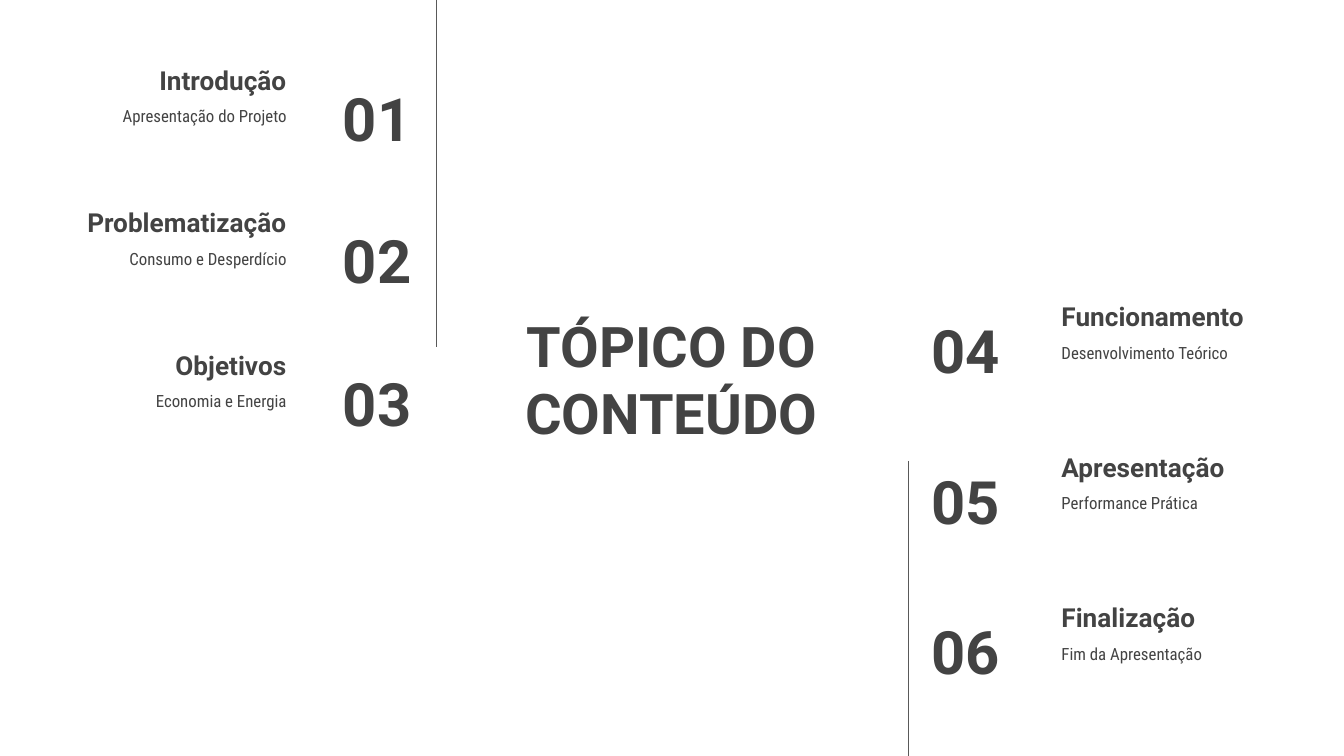
from pptx import Presentation
from pptx.dml.color import RGBColor
from pptx.enum.shapes import MSO_CONNECTOR as CONN
from pptx.enum.text import MSO_ANCHOR as ANCHOR, PP_ALIGN as ALIGN
from pptx.oxml.xmlchemy import OxmlElement
from pptx.util import Inches, Pt

DARK = RGBColor(0x43, 0x43, 0x43)
GRAY = RGBColor(0x59, 0x59, 0x59)
WIDTH = 10
HEIGHT = WIDTH * 9 / 16
BOX_H = 0.63
HEADING_W, DETAIL_W = 2.16, 1.83
DETAIL_DROP = 0.5

LEFT_TOPICS = [
    ("01", "Introdução", "Apresentação do Projeto"),
    ("02", "Problematização", "Consumo e Desperdício"),
    ("03", "Objetivos", "Economia e Energia"),
]
RIGHT_TOPICS = [
    ("04", "Funcionamento", "Desenvolvimento Teórico"),
    ("05", "Apresentação", "Performance Prática"),
    ("06", "Finalização", "Fim da Apresentação"),
]


def add_text(slide, text, box, size, align, anchor=ANCHOR.MIDDLE,
             font="Roboto", bold=True, spacing=1.0):
    sp = slide.shapes.add_textbox(*map(Inches, box))
    tf = sp.text_frame
    tf.text = text
    tf.word_wrap = True
    tf.vertical_anchor = anchor
    tf.margin_left = tf.margin_right = Inches(0.1)
    tf.margin_top = tf.margin_bottom = Inches(0.1)
    p = tf.paragraphs[0]
    p.alignment = align
    p.line_spacing = spacing
    r = p.runs[0]
    r.font.name = font
    r.font.size = Pt(size)
    r.font.bold = bold
    r.font.color.rgb = DARK


def add_topic(slide, topic, top, edge, number_x, number_w, number_drop, align):
    number, heading, detail = topic
    shift = 1 if align == ALIGN.RIGHT else 0
    add_text(slide, heading, (edge - shift * HEADING_W, top, HEADING_W, BOX_H),
             14, align, ANCHOR.BOTTOM)
    add_text(slide, detail,
             (edge - shift * DETAIL_W, top + DETAIL_DROP, DETAIL_W, BOX_H),
             9, align, ANCHOR.TOP, "Roboto Condensed", False, 1.15)
    add_text(slide, number, (number_x, top + number_drop, number_w, BOX_H),
             32, align)


def add_column(slide, topics, top, pitch, **layout):
    for row, topic in enumerate(topics):
        add_topic(slide, topic, top + row * pitch, **layout)


def add_rule(slide, x, top, bottom):
    line = slide.shapes.add_connector(
        CONN.STRAIGHT, Inches(x), Inches(top), Inches(x), Inches(bottom))
    line.line.color.rgb = GRAY
    line.line.width = Pt(0.75)
    line._element.spPr.append(OxmlElement("a:effectLst"))


def main():
    prs = Presentation()
    prs.slide_width, prs.slide_height = Inches(WIDTH), Inches(HEIGHT)
    slide = prs.slides.add_slide(prs.slide_layouts[6])
    add_text(slide, "TÓPICO DO CONTEÚDO", (3.7, 2.3, 2.59, 1.03),
             30, ALIGN.CENTER)
    add_column(slide, LEFT_TOPICS, 0.18, 1.06, edge=2.23, number_x=1.95,
               number_w=1.21, number_drop=0.38, align=ALIGN.RIGHT)
    add_column(slide, RIGHT_TOPICS, 1.94, 1.12, edge=7.8, number_x=6.83,
               number_w=1.17, number_drop=0.35, align=ALIGN.LEFT)
    add_rule(slide, 3.25, 0, 2.58)
    add_rule(slide, 6.76, 3.43, HEIGHT)
    prs.save("out.pptx")


if __name__ == "__main__":
    main()
